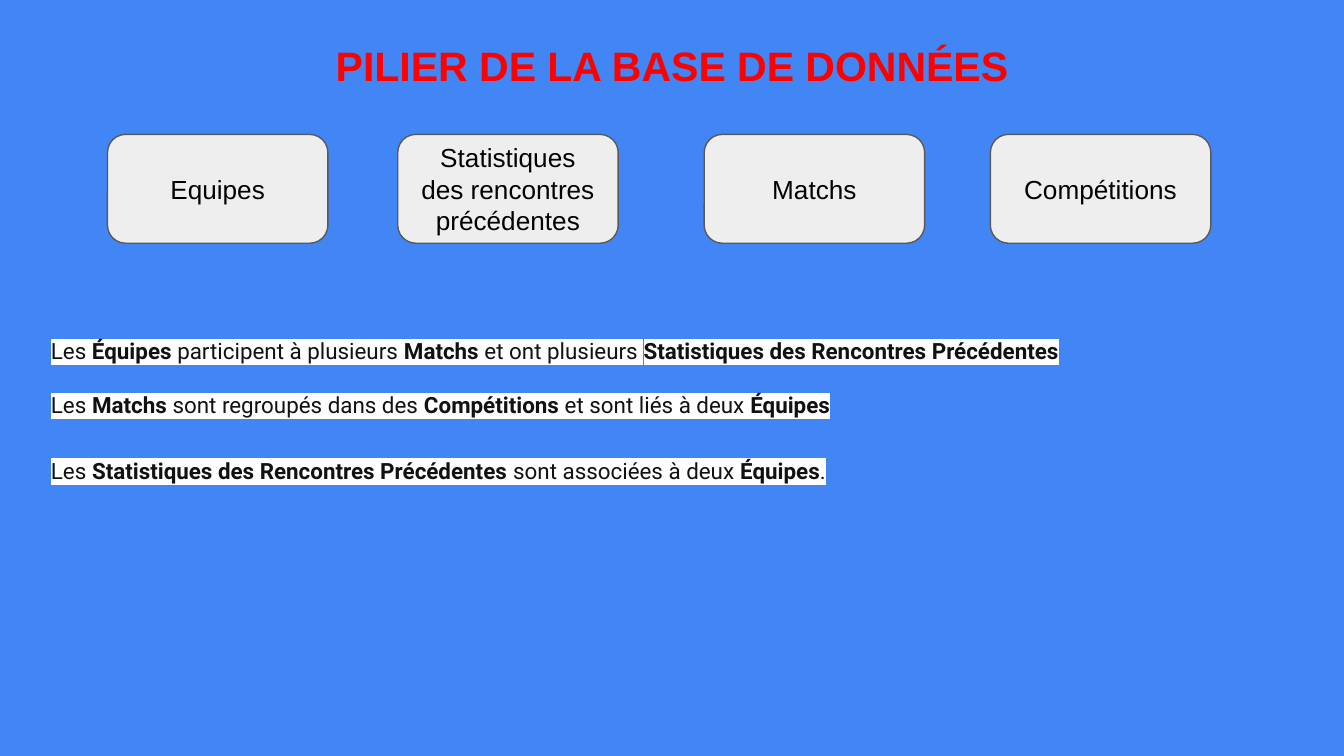
from lxml import etree
from pptx import Presentation
from pptx.dml.color import RGBColor
from pptx.enum.shapes import MSO_SHAPE
from pptx.enum.text import MSO_ANCHOR, MSO_AUTO_SIZE, PP_ALIGN
from pptx.oxml.ns import qn
from pptx.util import Pt

ROUNDED = MSO_SHAPE.ROUNDED_RECTANGLE
MIDDLE, TOP = MSO_ANCHOR.MIDDLE, MSO_ANCHOR.TOP
CENTER, LEFT = PP_ALIGN.CENTER, PP_ALIGN.LEFT
GROW, FIXED = MSO_AUTO_SIZE.SHAPE_TO_FIT_TEXT, MSO_AUTO_SIZE.NONE

BLUE = RGBColor(0x42, 0x85, 0xF4)
PALE_GRAY = RGBColor(0xEE, 0xEE, 0xEE)
DARK_GRAY = RGBColor(0x59, 0x59, 0x59)
BLACK = RGBColor(0x00, 0x00, 0x00)
INK = RGBColor(0x11, 0x11, 0x11)
RED = RGBColor(0xFF, 0x00, 0x00)
WHITE = RGBColor(0xFF, 0xFF, 0xFF)

ENTITY_TOP, ENTITY_WIDTH, ENTITY_HEIGHT = 72, 118.1, 58.3
ENTITIES = [
    (57.6, "Equipes"),
    (213.1, "Statistiques des rencontres précédentes"),
    (377.3, "Matchs"),
    (530.6, "Compétitions"),
]
RELATIONS = [
    (173.5, 563.8, "Les *Équipes* participent à plusieurs *Matchs* et ont plusieurs "
     "*Statistiques des Rencontres Précédentes*", {}),
    (202.3, 541.4, "Les *Matchs* sont regroupés dans des *Compétitions* et sont liés à deux *Équipes*", {}),
    (235.4, 495.4, "Les *Statistiques des Rencontres Précédentes* sont associées à deux *Équipes*.",
     {"line_spacing": 1.15, "space_before": 9}),
]


def write_text(shape, text, *, size, color, font="Arial", bold=False, highlight=None, align=LEFT,
               anchor=TOP, auto_size=FIXED, line_spacing=None, space_before=None):
    """Fill a shape with one paragraph, where asterisks switch bold on and off."""
    frame = shape.text_frame
    frame.word_wrap = True
    frame.auto_size = auto_size
    frame.vertical_anchor = anchor
    frame.margin_left = frame.margin_right = frame.margin_top = frame.margin_bottom = Pt(7.2)
    paragraph = frame.paragraphs[0]
    paragraph.alignment = align
    if line_spacing:
        paragraph.line_spacing = line_spacing
    if space_before:
        paragraph.space_before = Pt(space_before)
    for index, part in enumerate(text.split("*")):
        if not part:
            continue
        run = paragraph.add_run()
        run.text = part
        run.font.name = font
        run.font.size = Pt(size)
        run.font.bold = bold or index % 2 == 1
        run.font.color.rgb = color
        if highlight:
            mark = etree.Element(qn("a:highlight"))
            etree.SubElement(mark, qn("a:srgbClr"), val=str(highlight))
            run.font.fill
            run._r.rPr.find(qn("a:solidFill")).addnext(mark)


class DatabaseSlide:
    """Hold the style and the slide, and draw each kind of element."""

    def __init__(self, slide):
        self.slide = slide
        self.title_style = {"size": 22, "color": RED, "bold": True, "align": CENTER}
        self.entity_style = {"size": 14, "color": BLACK, "align": CENTER, "anchor": MIDDLE}
        self.relation_style = {"size": 12, "color": INK, "font": "Roboto",
                               "highlight": WHITE, "auto_size": GROW}

    def background(self, color):
        fill = self.slide.background.fill
        fill.solid()
        fill.fore_color.rgb = color

    def text_box(self, left, top, width, height, text, **style):
        box = self.slide.shapes.add_textbox(Pt(left), Pt(top), Pt(width), Pt(height))
        write_text(box, text, **style)

    def title(self, text):
        self.text_box(106.6, 14.4, 506.9, 45.4, text, **self.title_style)

    def relation(self, top, width, text, **spacing):
        self.text_box(20.2, top, width, 28.8, text, **self.relation_style, **spacing)

    def entity(self, left, text):
        shape = self.slide.shapes.add_shape(
            ROUNDED, Pt(left), Pt(ENTITY_TOP), Pt(ENTITY_WIDTH), Pt(ENTITY_HEIGHT))
        shape.shadow.inherit = False
        shape.fill.solid()
        shape.fill.fore_color.rgb = PALE_GRAY
        shape.line.color.rgb = DARK_GRAY
        shape.line.width = Pt(0.75)
        write_text(shape, text, **self.entity_style)


def main():
    presentation = Presentation()
    presentation.slide_width, presentation.slide_height = Pt(720), Pt(405)
    page = DatabaseSlide(presentation.slides.add_slide(presentation.slide_layouts[6]))
    page.background(BLUE)
    for left, text in ENTITIES:
        page.entity(left, text)
    for top, width, text, spacing in RELATIONS:
        page.relation(top, width, text, **spacing)
    page.title("PILIER DE LA BASE DE DONNÉES")
    presentation.save("out.pptx")


if __name__ == "__main__":
    main()
